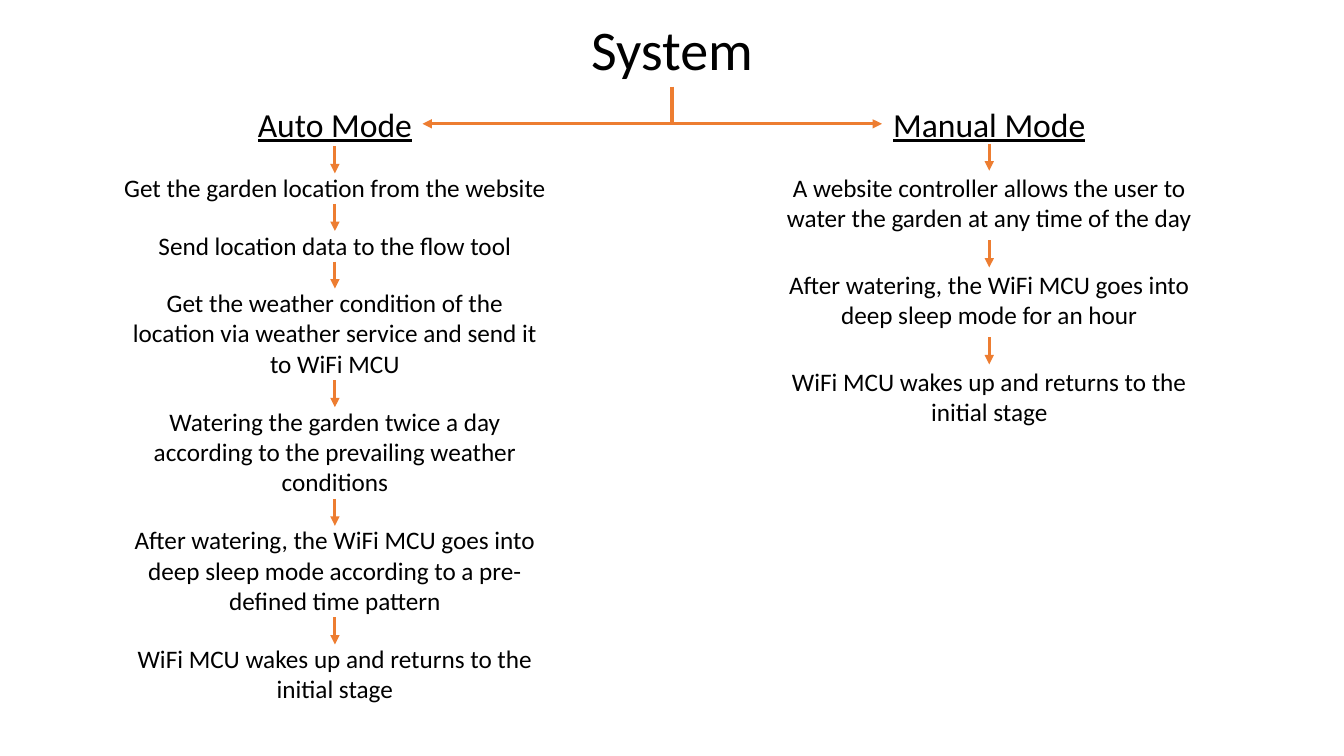
from lxml.etree import SubElement
from pptx import Presentation
from pptx.dml.color import RGBColor
from pptx.enum.shapes import MSO_CONNECTOR as Connector
from pptx.enum.text import MSO_ANCHOR as Anchor, MSO_AUTO_SIZE as AutoSize, PP_ALIGN as Align
from pptx.oxml.ns import qn
from pptx.util import Cm, Pt

# Content: each step is its text and its number of lines
TITLE = "System"
MODES = [
    {"heading": "Auto Mode", "heading_width": 4.42, "center": 8.44, "gap": 0.43, "arrow_rise": 0.53,
     "steps": [
         ("Get the garden location from the website", 1),
         ("Send location data to the flow tool", 1),
         ("Get the weather condition of the location via weather service and send it to WiFi MCU", 3),
         ("Watering the garden twice a day according to the prevailing weather conditions", 3),
         ("After watering, the WiFi MCU goes into deep sleep mode according to a pre-defined time pattern", 3),
         ("WiFi MCU wakes up and returns to the initial stage", 2),
     ]},
    {"heading": "Manual Mode", "heading_width": 5.41, "center": 24.93, "gap": 0.65, "arrow_rise": 0.6,
     "steps": [
         ("A website controller allows the user to water the garden at any time of the day", 2),
         ("After watering, the WiFi MCU goes into deep sleep mode for an hour", 2),
         ("WiFi MCU wakes up and returns to the initial stage", 2),
     ]},
]

# Style and measures in centimetres
BLACK = RGBColor(0x00, 0x00, 0x00)
ORANGE = RGBColor(0xED, 0x7D, 0x31)
FONT = "Calibri"
SLIDE_WIDTH, SLIDE_HEIGHT = 33.87, 19.05
TITLE_TOP, TITLE_WIDTH, TITLE_HEIGHT = 0.23, 4.65, 1.95
HEADING_TOP, HEADING_HEIGHT = 2.49, 1.27
STEPS_TOP, STEP_WIDTH = 4.22, 11.18
LINE_HEIGHT, PADDING = 0.77, 0.25
BRANCH_Y, ARROW_LENGTH = 3.12, 0.68

presentation = Presentation()
presentation.slide_width, presentation.slide_height = Cm(SLIDE_WIDTH), Cm(SLIDE_HEIGHT)
slide = presentation.slides.add_slide(presentation.slide_layouts[5])


def write_text(text, center, top, width, height, size=18, underline=None, wrap=True, shape=None):
    """Write centred text in the given shape, or in a new text box."""
    box = Cm(center - width / 2), Cm(top), Cm(width), Cm(height)
    if shape is None:
        shape = slide.shapes.add_textbox(*box)
    else:
        shape.left, shape.top, shape.width, shape.height = box
    frame = shape.text_frame
    frame.text = text
    frame.word_wrap = wrap
    frame.auto_size = AutoSize.NONE
    frame.vertical_anchor = Anchor.TOP
    paragraph = frame.paragraphs[0]
    paragraph.alignment = Align.CENTER
    font = paragraph.runs[0].font
    font.name, font.size, font.underline = FONT, Pt(size), underline
    font.color.rgb = BLACK


def draw_line(x1, y1, x2, y2, ends=()):
    """Draw an orange line with triangles at the named ends."""
    line = slide.shapes.add_connector(Connector.STRAIGHT, Cm(x1), Cm(y1), Cm(x2), Cm(y2))
    line.line.color.rgb = ORANGE
    line.line.width = Pt(2.25)
    for end in ends:
        SubElement(line.line._get_or_add_ln(), qn("a:" + end), type="triangle")
    SubElement(line._element.spPr, qn("a:effectLst"))


# Title
middle = SLIDE_WIDTH / 2
write_text(TITLE, middle, TITLE_TOP, TITLE_WIDTH, TITLE_HEIGHT, size=40, wrap=False,
           shape=slide.shapes.title)

# Branch from the title to both headings
auto, manual = MODES
draw_line(auto["center"] + auto["heading_width"] / 2, BRANCH_Y,
          manual["center"] - manual["heading_width"] / 2, BRANCH_Y, ends=("headEnd", "tailEnd"))
draw_line(middle, TITLE_TOP + TITLE_HEIGHT, middle, BRANCH_Y)

# One column per mode: heading, then each step below its arrow
for mode in MODES:
    center = mode["center"]
    write_text(mode["heading"], center, HEADING_TOP, mode["heading_width"], HEADING_HEIGHT,
               size=24, underline=True, wrap=False)
    top = STEPS_TOP
    for text, line_count in mode["steps"]:
        height = PADDING + line_count * LINE_HEIGHT
        write_text(text, center, top, STEP_WIDTH, height)
        arrow_top = top - mode["arrow_rise"]
        draw_line(center, arrow_top, center, arrow_top + ARROW_LENGTH, ends=("tailEnd",))
        top += height + mode["gap"]

presentation.save("out.pptx")
